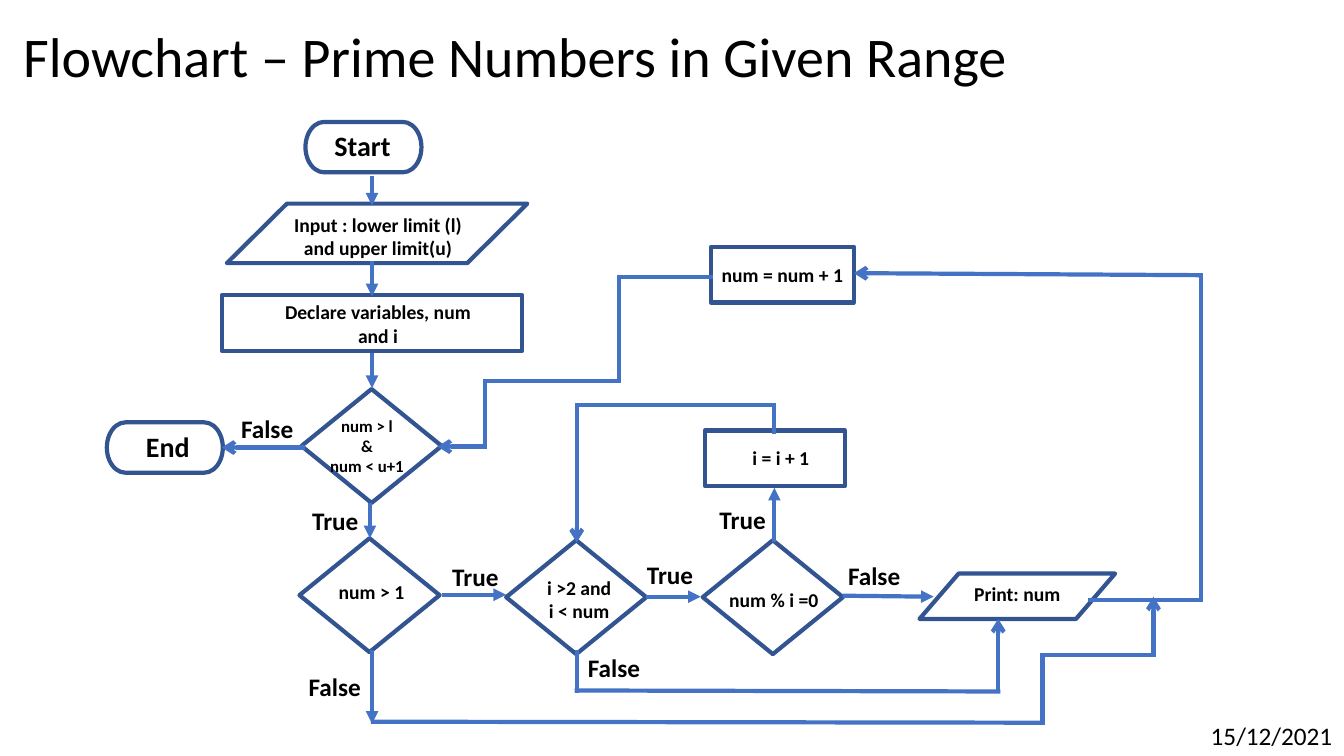
from lxml import etree
from pptx import Presentation
from pptx import util as u
from pptx.dml import color
from pptx.enum import shapes, text
from pptx.oxml import ns

HUE = {"text": "000000", "edge": "325491", "flow": "4472C4"}
KIND = shapes.MSO_SHAPE
SIZE = text.MSO_AUTO_SIZE


class Chart:
    """Style and current slide of the flowchart."""

    font = "Calibri"
    width = u.Pt(3)

    def __init__(self, slide):
        self.slide = slide

    def paint(self, fill, hue):
        fill.solid()
        fill.fore_color.rgb = color.RGBColor.from_string(HUE[hue])

    def letter(self, frame, words, size, bold=False, align=text.PP_ALIGN.CENTER, **more):
        frame.text = words
        look = {"name": self.font, "size": u.Pt(size), "bold": bold}
        for par in frame.paragraphs:
            for key, val in {"alignment": align, **more}.items():
                setattr(par, key, val)
            for run in par.runs:
                for key, val in look.items():
                    setattr(run.font, key, val)
                self.paint(run.font.fill, "text")

    def title(self, words, box):
        head = self.slide.shapes.title
        for key, val in zip(("left", "top", "width", "height"), box):
            setattr(head, key, u.Inches(val))
        frame = head.text_frame
        frame.auto_size = SIZE.NONE
        frame.vertical_anchor = text.MSO_ANCHOR.MIDDLE
        self.letter(frame, words, 40, align=text.PP_ALIGN.LEFT, line_spacing=0.9)

    def label(self, words, box, size=14, bold=True, wrap=True, **more):
        frame = self.slide.shapes.add_textbox(*map(u.Inches, box)).text_frame
        frame.word_wrap = wrap
        frame.auto_size = SIZE.SHAPE_TO_FIT_TEXT
        self.letter(frame, words, size, bold, **more)

    def node(self, kind, box):
        shape = self.slide.shapes.add_shape(kind, *map(u.Inches, box))
        shape.shadow.inherit = False
        shape.fill.background()
        self.paint(shape.line.fill, "edge")
        shape.line.width = self.width

    def line(self, start, end, tip=None):
        link = self.slide.shapes.add_connector(
            shapes.MSO_CONNECTOR.STRAIGHT, *map(u.Inches, start + end))
        self.paint(link.line.fill, "flow")
        link.line.width = self.width
        props = link._element.spPr
        etree.SubElement(props, ns.qn("a:effectLst"))
        edge = props.find(ns.qn("a:ln"))
        if tip:
            etree.SubElement(edge, ns.qn("a:tailEnd"), type=tip)
        else:
            edge.set("cap", "sq")  # closes the corners of a route

    def route(self, tip, *spots):
        """Join the spots with lines; the last one carries the tip."""
        pairs = list(zip(spots, spots[1:]))
        for start, end in pairs[:-1]:
            self.line(start, end)
        self.line(*pairs[-1], tip)


def main():
    deck = Presentation()
    deck.slide_width, deck.slide_height = u.Inches(13.33), u.Inches(7.5)
    chart = Chart(deck.slides.add_slide(deck.slide_layouts[5]))

    # Title and date
    chart.title("Flowchart – Prime Numbers in Given Range", (0.13, -0.14, 11.5, 1.45))
    chart.label("15/12/2021", (11.91, 7.1, 1.42, 0.4), 18, False, False,
                align=text.PP_ALIGN.LEFT)

    # Start and end
    for words, node, box in (
        ("Start", (3.03, 1.21), (3.15, 1.23)),
        ("End", (1.06, 4.19), (1.22, 4.21)),
    ):
        chart.node(KIND.FLOWCHART_TERMINATOR, node + (1.15, 0.5))
        chart.label(words, box + (0.89, 0.44), 20)

    # Input, output and process steps
    data, step = KIND.FLOWCHART_DATA, KIND.FLOWCHART_PROCESS
    for kind, node, words, box in (
        (data, (2.25, 2.02, 2.98, 0.59), "Input : lower limit (l) and upper limit(u)",
         (2.7, 2.06, 2.1, 0.57)),
        (step, (2.2, 2.93, 2.98, 0.55), "Declare variables, num and i",
         (2.7, 2.93, 2.1, 0.57)),
        (step, (7.05, 2.45, 1.42, 0.55), "num = num + 1", (7.05, 2.56, 1.42, 0.34)),
        (step, (6.99, 4.27, 1.39, 0.55), "i = i + 1", (7.18, 4.37, 1.13, 0.34)),
        (data, (9.12, 5.69, 1.94, 0.45), "Print: num", (9.04, 5.72, 2.1, 0.34)),
    ):
        chart.node(kind, node)
        chart.label(words, box)

    # Decisions
    for node, words, box, size in (
        ((2.99, 3.86), "num > l\n&\nnum < u+1", (3.07, 4.07, 1.14, 0.71), 12),
        ((2.97, 5.34), "num > 1", (3.12, 5.7, 1.13, 0.34), 14),
        ((5.02, 5.36), "i >2 and\ni < num", (5.18, 5.66, 1.13, 0.57), 14),
        ((6.97, 5.36), "num % i =0", (7.11, 5.78, 1.13, 0.34), 14),
    ):
        chart.node(KIND.FLOWCHART_DECISION, node + (1.39, 1.13))
        chart.label(words, box, size)

    # Branch labels
    for words, wide, spots in (
        ("True", 0.69, ((2.98, 4.96), (4.37, 5.52), (6.3, 5.5), (7.02, 4.95))),
        ("False", 0.9, ((2.2, 4.05), (2.87, 6.61), (5.64, 6.42), (8.22, 5.51))),
    ):
        for spot in spots:
            chart.label(words, spot + (wide, 0.4), 18)

    # Straight arrows
    for start, end in (
        ((3.69, 1.75), (3.69, 2.04)),
        ((3.69, 2.59), (3.69, 2.94)),
        ((3.69, 3.5), (3.69, 3.85)),
        ((3.67, 4.99), (3.67, 5.34)),
        ((4.38, 5.9), (5.02, 5.9)),
        ((6.41, 5.92), (6.95, 5.92)),
        ((7.68, 5.38), (7.68, 4.84)),
        ((8.36, 5.91), (9.26, 5.92)),
        ((3.69, 6.45), (3.69, 7.18)),
    ):
        chart.route("triangle", start, end)

    # Bent routes: to the end, next i, print, next num, back to the range test
    for spots in (
        ((3.03, 4.44), (2.2, 4.44)),
        ((7.68, 4.28), (7.68, 4.02), (5.72, 4.02), (5.72, 5.38)),
        ((5.72, 6.47), (5.72, 6.85), (9.9, 6.86), (9.9, 6.14)),
        ((3.7, 7.16), (10.34, 7.17), (10.34, 6.5), (11.44, 6.5), (11.44, 5.92)),
        ((10.81, 5.95), (11.91, 5.95), (11.91, 2.73), (8.47, 2.71)),
        ((7.05, 2.75), (6.14, 2.75), (6.14, 3.78), (4.81, 3.78), (4.81, 4.43),
         (4.34, 4.43)),
    ):
        chart.route("arrow", *spots)

    deck.save("out.pptx")


if __name__ == "__main__":
    main()
